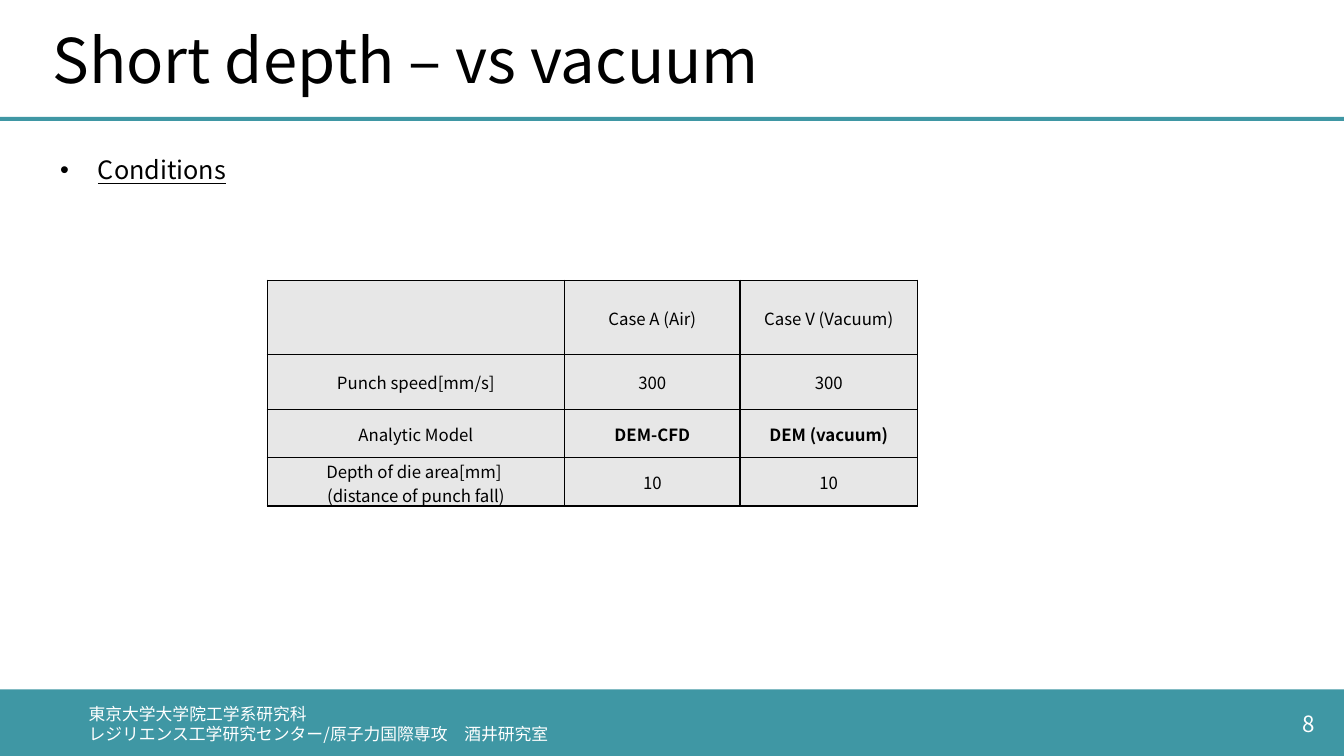
from lxml.etree import SubElement
from pptx import Presentation
from pptx.dml.color import RGBColor
from pptx.enum.shapes import MSO_SHAPE
from pptx.enum.text import MSO_ANCHOR, MSO_AUTO_SIZE, PP_ALIGN
from pptx.oxml.ns import qn
from pptx.util import Inches, Pt

FONT = "Noto Sans CJK JP"
TEAL, BLACK, WHITE, GREY = "3F97A4", "000000", "FFFFFF", "E7E7E7"

TITLE = "Short depth – vs vacuum"
HEADING = "Conditions"
PAGE = "8"
AFFILIATION = "東京大学大学院工学系研究科\nレジリエンス工学研究センター/原子力国際専攻　酒井研究室"
CONDITIONS = [
    ("", "Case A (Air)", "Case V (Vacuum)"),
    ("Punch speed[mm/s]", "300", "300"),
    ("Analytic Model", "DEM-CFD", "DEM (vacuum)"),
    ("Depth of die area[mm] \n(distance of punch fall)", "10", "10"),
]
BOLD_CELLS = {"DEM-CFD", "DEM (vacuum)"}
COLUMN_WIDTHS = (2.95, 1.74, 1.76)
ROW_HEIGHTS = (0.74, 0.54, 0.48, 0.48)
BANDS = [(6.84, 0.66), (1.16, 0.04)]


def rgb(value):
    return RGBColor.from_string(value)


def write(frame, text, size, color=BLACK, align=PP_ALIGN.LEFT, bold=False):
    frame.text = text
    for paragraph in frame.paragraphs:
        paragraph.alignment = align
        font = paragraph.font
        font.name, font.size, font.bold = FONT, Pt(size), bold
        font.color.rgb = rgb(color)
        defaults = paragraph._p.pPr.find(qn("a:defRPr"))
        SubElement(defaults, qn("a:ea"), typeface=FONT)


def place(shape, left, top, width, height):
    shape.left, shape.top = Inches(left), Inches(top)
    shape.width, shape.height = Inches(width), Inches(height)


def add_label(slide, text, box, size, align=PP_ALIGN.LEFT):
    frame = slide.shapes.add_textbox(*map(Inches, box)).text_frame
    frame.word_wrap = True
    frame.vertical_anchor = MSO_ANCHOR.MIDDLE
    write(frame, text, size, WHITE, align)


def add_borders(cell):
    properties = cell._tc.get_or_add_tcPr()
    for side in ("a:lnL", "a:lnR", "a:lnT", "a:lnB"):
        line = SubElement(properties, qn(side), w=str(Pt(1)))
        fill = SubElement(line, qn("a:solidFill"))
        SubElement(fill, qn("a:srgbClr"), val=BLACK)


def add_conditions(slide):
    table = slide.shapes.add_table(
        len(CONDITIONS), len(COLUMN_WIDTHS), Inches(2.65), Inches(2.78),
        Inches(sum(COLUMN_WIDTHS)), Inches(sum(ROW_HEIGHTS))).table
    table.first_row = table.horz_banding = False
    for column, width in zip(table.columns, COLUMN_WIDTHS):
        column.width = Inches(width)
    for row, height, texts in zip(table.rows, ROW_HEIGHTS, CONDITIONS):
        row.height = Inches(height)
        for cell, text in zip(row.cells, texts):
            cell.margin_left = cell.margin_right = cell.margin_top = Inches(0.01)
            cell.margin_bottom = 0
            cell.vertical_anchor = MSO_ANCHOR.MIDDLE
            add_borders(cell)
            cell.fill.solid()
            cell.fill.fore_color.rgb = rgb(GREY)
            write(cell.text_frame, text, 12, align=PP_ALIGN.CENTER, bold=text in BOLD_CELLS)


def main():
    presentation = Presentation()
    presentation.slide_width, presentation.slide_height = Inches(13.33), Inches(7.5)
    slide = presentation.slides.add_slide(presentation.slide_layouts[1])

    for top, height in BANDS:
        band = slide.shapes.add_shape(
            MSO_SHAPE.RECTANGLE, 0, Inches(top), presentation.slide_width, Inches(height))
        band.shadow.inherit = False
        band.fill.solid()
        band.fill.fore_color.rgb = rgb(TEAL)
        band.line.fill.background()

    add_label(slide, PAGE, (10.14, 6.98, 3, 0.4), 16, PP_ALIGN.RIGHT)
    add_label(slide, AFFILIATION, (0.78, 6.98, 6.02, 0.4), 12)

    title = slide.shapes.title
    place(title, 0.42, 0, 10.91, 1.16)
    title.text_frame.auto_size = MSO_AUTO_SIZE.NONE
    title.text_frame.vertical_anchor = MSO_ANCHOR.MIDDLE
    write(title.text_frame, TITLE, 44)

    heading = slide.placeholders[1]
    place(heading, 0.41, 1.48, 2.02, 0.4)
    heading.text_frame.auto_size = MSO_AUTO_SIZE.NONE
    paragraph = heading.text_frame.paragraphs[0]
    paragraph.line_spacing = 0.9
    paragraph.space_before = Pt(0)
    properties = paragraph._p.get_or_add_pPr()
    properties.set("marL", "0")
    properties.set("indent", "0")
    SubElement(properties, qn("a:buNone"))
    write(heading.text_frame, HEADING, 18, align=PP_ALIGN.CENTER)
    heading.text_frame.paragraphs[0].font.underline = True

    add_conditions(slide)
    presentation.save("out.pptx")


if __name__ == "__main__":
    main()
